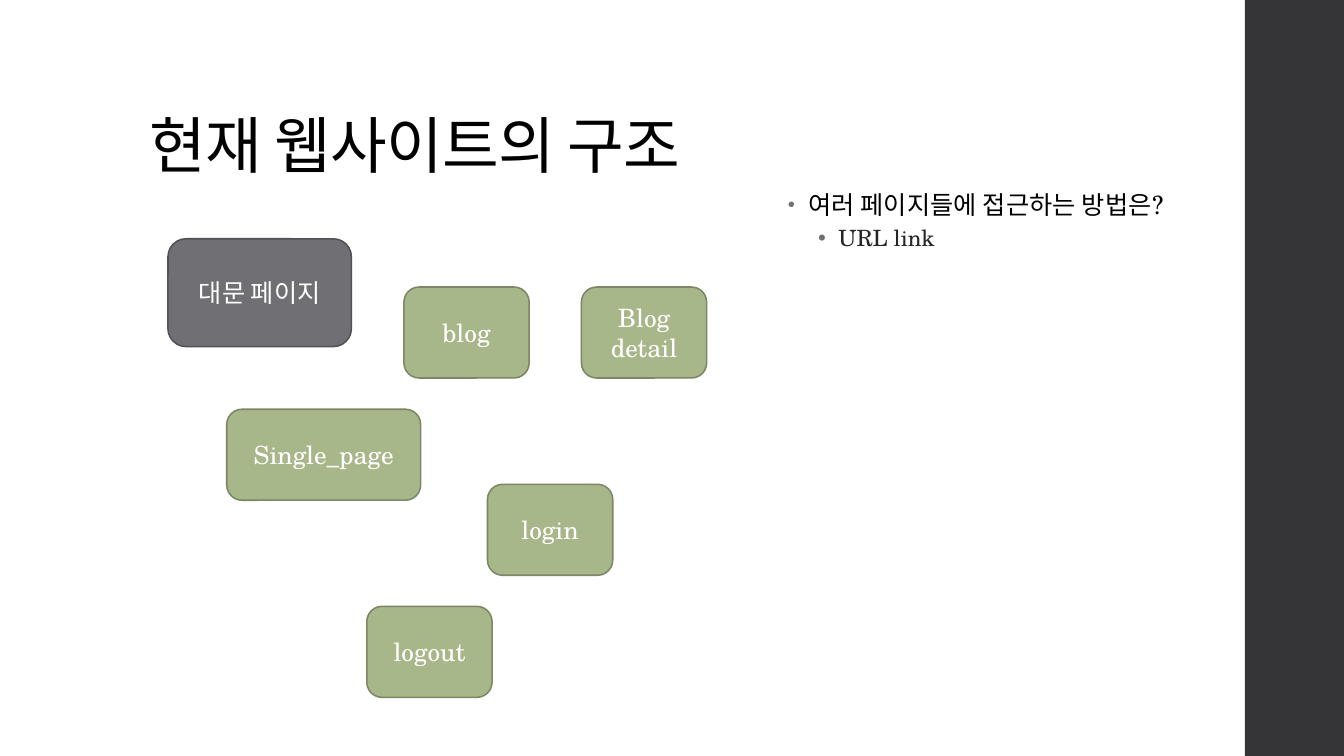
import pptx
import pptx.dml.color
import pptx.enum.shapes
import pptx.enum.text
import pptx.oxml
import pptx.oxml.ns
import pptx.util

Pt = pptx.util.Pt
FONT = "TeX Gyre Schola"
GRAY = ("6F6F74", "525256")
GREEN = ("A7B789", "7C8765")
PAGES = [
    ("대문 페이지", 120, 170.6, 131, 77, GRAY),
    ("blog", 288.5, 205, 89.5, 65, GREEN),
    ("Single_page", 162, 292.3, 138.5, 65, GREEN),
    ("Blog detail", 415.3, 205, 89.5, 65, GREEN),
    ("login", 348.2, 345.9, 89.5, 65, GREEN),
    ("logout", 262, 433.1, 89.5, 65, GREEN),
]
QUESTIONS = [
    ("여러 페이지들에 접근하는 방법은?", 0, 18, "000000", 14.4, 0.95, 14, 2, 80, 0.1),
    ("URL link", 1, 16, "262626", 36, 0.9, 3, 3, 100, 0),
]


def color(value):
    return pptx.dml.color.RGBColor.from_string(value)


def style(paragraph, size, value, spacing=0):
    paragraph.font.name = FONT
    paragraph.font.size = Pt(size)
    paragraph.font.color.rgb = color(value)
    if spacing:
        for run in paragraph.runs:
            run._r.get_or_add_rPr().set("spc", str(round(spacing * 100)))


def add_bullet(paragraph, indent, percent):
    properties = paragraph._p.get_or_add_pPr()
    properties.set("marL", str(Pt(indent)))
    properties.set("indent", str(-Pt(14.4)))
    namespace = pptx.oxml.ns.nsdecls("a")
    for markup in (
        f'<a:buClr {namespace}><a:srgbClr val="6F6F74"/></a:buClr>',
        f'<a:buSzPct {namespace} val="{percent * 1000}"/>',
        f'<a:buFont {namespace} typeface="Arial"/>',
        f'<a:buChar {namespace} char="•"/>',
    ):
        properties.append(pptx.oxml.parse_xml(markup))


def add_sidebar(slide, left, top, width, height):
    sidebar = slide.shapes.add_shape(
        pptx.enum.shapes.MSO_SHAPE.RECTANGLE, Pt(left), Pt(top), Pt(width), Pt(height))
    sidebar.shadow.inherit = False
    sidebar.fill.solid()
    sidebar.fill.fore_color.rgb = color("353537")
    sidebar.line.fill.background()


def set_title(slide, left, top, width, height):
    title = slide.shapes.title
    title.left, title.top, title.width, title.height = Pt(left), Pt(top), Pt(width), Pt(height)
    frame = title.text_frame
    frame.text = "현재 웹사이트의 구조"
    frame.auto_size = pptx.enum.text.MSO_AUTO_SIZE.NONE
    frame.vertical_anchor = pptx.enum.text.MSO_ANCHOR.BOTTOM
    heading = frame.paragraphs[0]
    heading.alignment = pptx.enum.text.PP_ALIGN.LEFT
    heading.line_spacing = 0.9
    style(heading, 44, "000000", -0.5)


def add_questions(slide, left, top, width, height):
    frame = slide.shapes.add_textbox(Pt(left), Pt(top), Pt(width), Pt(height)).text_frame
    frame.word_wrap = True
    for index, question in enumerate(QUESTIONS):
        text, level, size, value, indent, line, before, after, percent, spacing = question
        paragraph = frame.add_paragraph() if index else frame.paragraphs[0]
        paragraph.text = text
        paragraph.level = level
        paragraph.line_spacing = line
        paragraph.space_before = Pt(before)
        paragraph.space_after = Pt(after)
        add_bullet(paragraph, indent, percent)
        style(paragraph, size, value, spacing)


def add_page(slide, name, left, top, width, height, palette):
    fill, outline = palette
    page = slide.shapes.add_shape(
        pptx.enum.shapes.MSO_SHAPE.ROUNDED_RECTANGLE, Pt(left), Pt(top), Pt(width), Pt(height))
    page.shadow.inherit = False
    page.fill.solid()
    page.fill.fore_color.rgb = color(fill)
    page.line.color.rgb = color(outline)
    page.line.width = Pt(1.1)
    frame = page.text_frame
    frame.word_wrap = True
    frame.vertical_anchor = pptx.enum.text.MSO_ANCHOR.MIDDLE
    label = frame.paragraphs[0]
    label.text = name
    label.alignment = pptx.enum.text.PP_ALIGN.CENTER
    style(label, 18, "FFFFFF")


def main():
    deck = pptx.Presentation()
    deck.slide_width, deck.slide_height = Pt(960), Pt(540)
    slide = deck.slides.add_slide(deck.slide_layouts.get_by_name("Title Only"))
    add_sidebar(slide, 889.2, 0, 70.8, 540)
    set_title(slide, 99.4, 28.8, 763.2, 104.4)
    add_questions(slide, 555.8, 133.2, 333.4, 342.7)
    for page in PAGES:
        add_page(slide, *page)
    deck.save("out.pptx")


if __name__ == "__main__":
    main()
